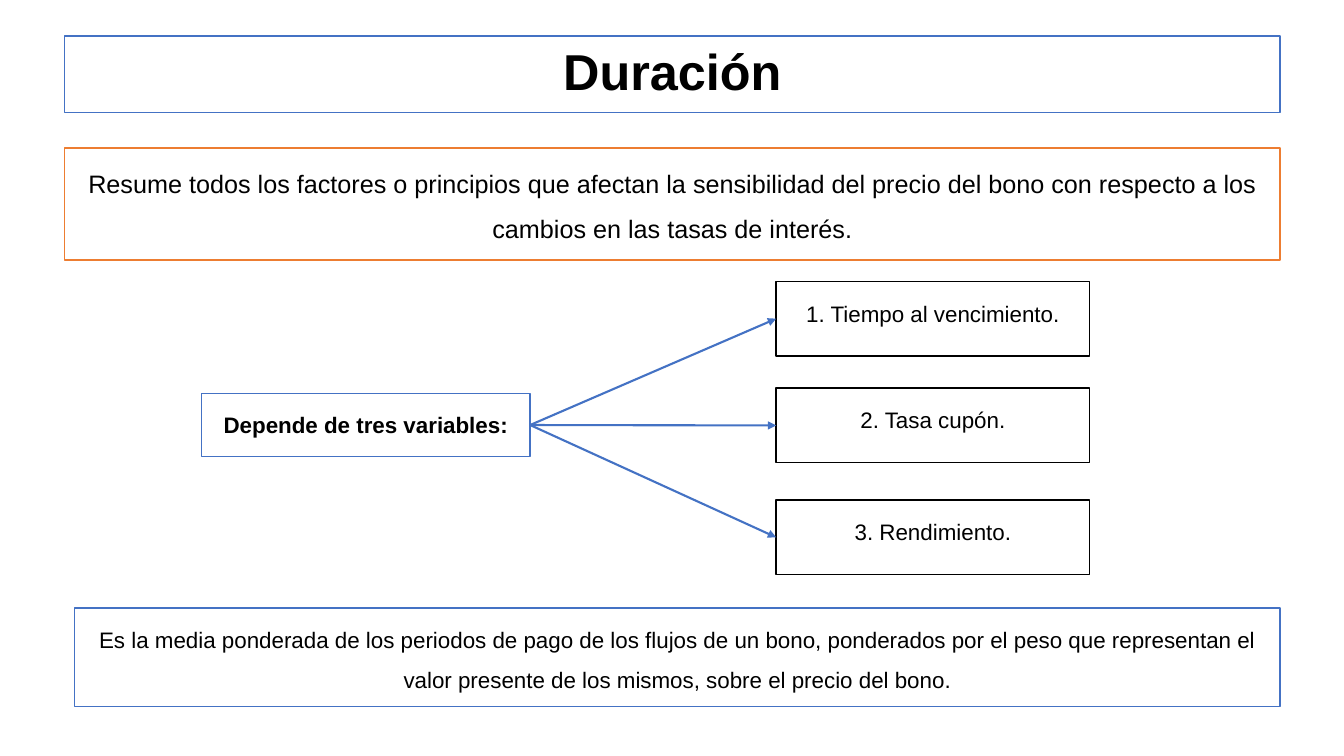
from dataclasses import dataclass

import lxml.etree
import pptx
import pptx.dml.color
import pptx.enum.shapes
import pptx.enum.text
import pptx.oxml.ns
import pptx.util

COLORS = {"white": "FFFFFF", "black": "000000", "blue": "4472C4", "orange": "ED7D31"}
FONT = "Arial"
RIGHT_SITE, LEFT_SITE = 3, 1


@dataclass
class Box:
    """A bordered text box, measured in centimetres."""
    text: str
    left: float
    top: float
    width: float
    height: float
    border: str
    size: int = 16
    bold: bool = False
    title: bool = False


def color(name: str) -> pptx.dml.color.RGBColor:
    return pptx.dml.color.RGBColor.from_string(COLORS[name])


def add_box(slide, box: Box):
    shape = slide.shapes.add_shape(
        pptx.enum.shapes.MSO_SHAPE.RECTANGLE,
        *(pptx.util.Cm(length) for length in (box.left, box.top, box.width, box.height)))
    shape.shadow.inherit = False
    shape.fill.solid()
    shape.fill.fore_color.rgb = color("white")
    shape.line.color.rgb = color(box.border)
    shape.line.width = pptx.util.Pt(1)

    text_frame = shape.text_frame
    text_frame.text = box.text
    text_frame.word_wrap = True
    anchors = pptx.enum.text.MSO_ANCHOR
    text_frame.vertical_anchor = anchors.MIDDLE if box.title else anchors.TOP
    paragraph = text_frame.paragraphs[0]
    paragraph.alignment = pptx.enum.text.PP_ALIGN.CENTER
    paragraph.line_spacing = 0.9 if box.title else 1.5
    if not box.title:
        paragraph.space_before = pptx.util.Pt(0.2 * box.size)
        properties = paragraph._p.get_or_add_pPr()
        properties.set("marL", "0")
        properties.set("indent", str(-pptx.util.Cm(0.95)))
    font = paragraph.runs[0].font
    font.name = FONT
    font.size = pptx.util.Pt(box.size)
    font.bold = box.bold
    font.color.rgb = color("black")
    return shape


def add_arrow(slide, source, target) -> None:
    connector = slide.shapes.add_connector(
        pptx.enum.shapes.MSO_CONNECTOR.STRAIGHT, 0, 0, 0, 0)
    connector.begin_connect(source, RIGHT_SITE)
    connector.end_connect(target, LEFT_SITE)
    connector.line.color.rgb = color("blue")
    connector.line.width = pptx.util.Pt(1.5)
    qn = pptx.oxml.ns.qn
    lxml.etree.SubElement(connector.line._get_or_add_ln(), qn("a:tailEnd"), type="triangle")
    lxml.etree.SubElement(connector._element.spPr, qn("a:effectLst"))


presentation = pptx.Presentation()
presentation.slide_width = pptx.util.Cm(33.87)
presentation.slide_height = pptx.util.Cm(19.05)
slide = presentation.slides.add_slide(presentation.slide_layouts[6])

# Title and definition
add_box(slide, Box("Duración", 1.63, 0.91, 30.63, 1.93, "blue", 36, bold=True, title=True))
add_box(slide, Box(
    "Resume todos los factores o principios que afectan la sensibilidad del precio "
    "del bono con respecto a los cambios en las tasas de interés.",
    1.63, 3.73, 30.63, 2.82, "orange", 18))

# The three variables, each reached by an arrow
source = add_box(slide, Box("Depende de tres variables:", 5.08, 9.91, 8.28, 1.6, "blue", bold=True))
variables = [("Tiempo al vencimiento.", 7.09), ("Tasa cupón.", 9.78), ("Rendimiento.", 12.6)]
targets = [add_box(slide, Box(f"{number}. {name}", 19.56, top, 7.9, 1.88, "black"))
           for number, (name, top) in enumerate(variables, start=1)]
for target in targets:
    add_arrow(slide, source, target)

# Explanation
add_box(slide, Box(
    "Es la media ponderada de los periodos de pago de los flujos de un bono, ponderados "
    "por el peso que representan el valor presente de los mismos, sobre el precio del bono.",
    1.88, 15.32, 30.38, 2.49, "blue"))

presentation.save("out.pptx")
